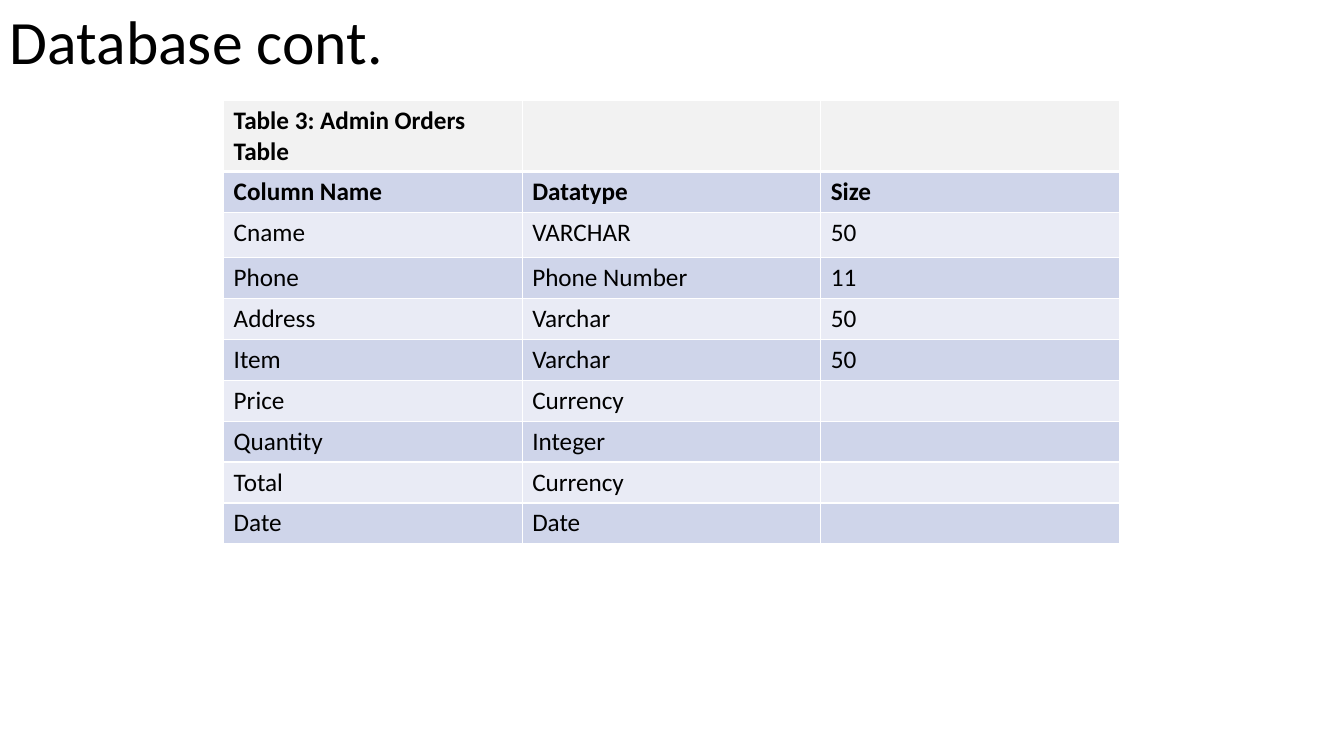
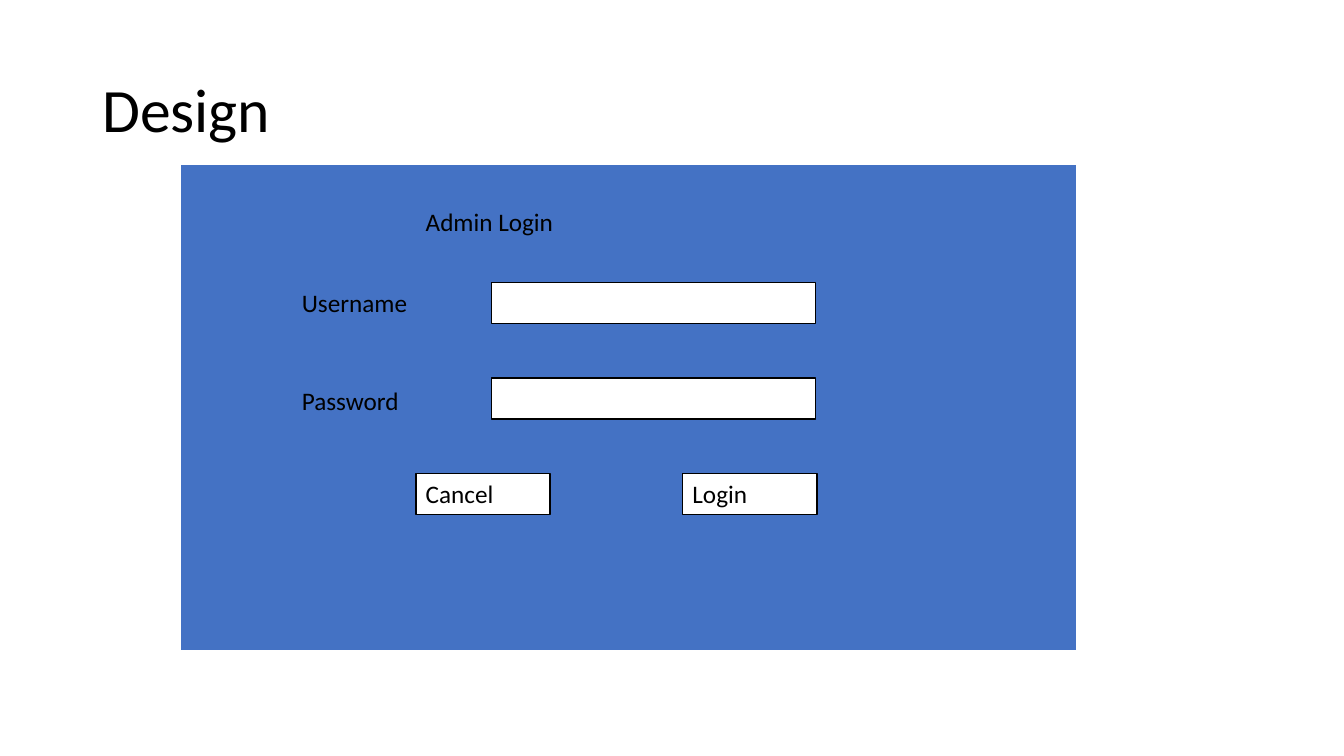
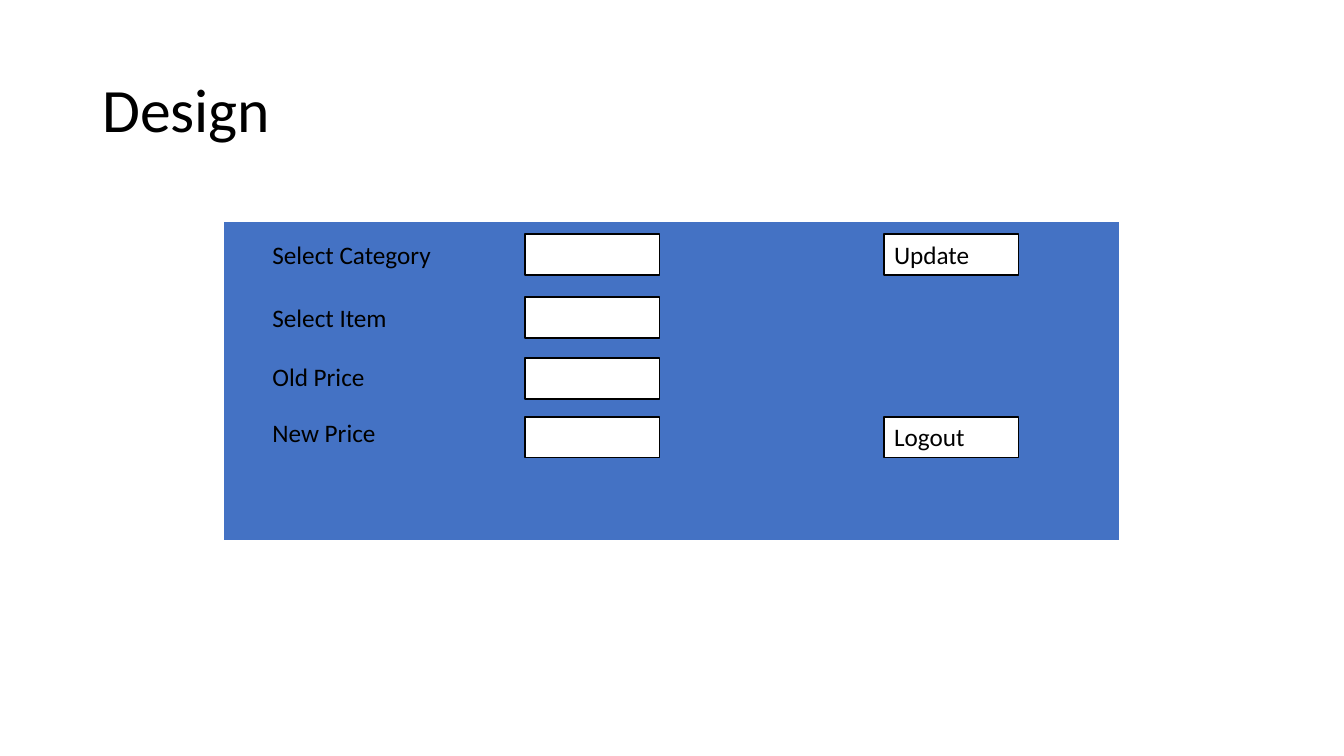
from lxml import etree
from pptx import Presentation
from pptx import util as u
from pptx.dml.color import RGBColor
from pptx.enum import shapes, text
from pptx.oxml.ns import qn

PX = 9525  # EMU in one px, 96 px to the inch
BLACK, WHITE, BLUE = "000000", "FFFFFF", "4472C4"
CAPTION_FILL, DARK_BAND, LIGHT_BAND = "F2F2F2", "CFD5EA", "E9EBF5"
ROW_H = 39
BUTTON_W = 128
PANEL_W = 853


def rgb(value):
    return RGBColor.from_string(value)


def px(*lengths):
    return [u.Emu(length * PX) for length in lengths]


class Deck:
    BODY = {"name": "Calibri", "size": u.Pt(18), "bold": False}
    HEADER = {**BODY, "bold": True}
    TITLE = {**BODY, "size": u.Pt(44)}

    def __init__(self, width, height):
        self.prs = Presentation()
        self.prs.slide_width, self.prs.slide_height = px(width, height)
        self.slide = None

    def new_slide(self, title, x, y, w, h):
        self.slide = self.prs.slides.add_slide(self.prs.slide_layouts[6])
        frame = self.label(title, x, y, w, h, self.TITLE)
        frame.vertical_anchor = text.MSO_ANCHOR.MIDDLE
        frame.paragraphs[0].line_spacing = 0.9

    def put_words(self, frame, words, style):
        frame.word_wrap = True
        paragraph = frame.paragraphs[0]
        paragraph.alignment = text.PP_ALIGN.LEFT
        run = paragraph.add_run()
        run.text = words
        for name, value in style.items():
            setattr(run.font, name, value)
        run.font.color.rgb = rgb(BLACK)

    def label(self, words, x, y, w, h=ROW_H, style=BODY):
        frame = self.slide.shapes.add_textbox(*px(x, y, w, h)).text_frame
        self.put_words(frame, words, style)
        return frame

    def box(self, x, y, w, words=""):
        """Draw an outlined input field, or a button when it has words."""
        shape = self.slide.shapes.add_shape(
            shapes.MSO_SHAPE.RECTANGLE, *px(x, y, w, ROW_H))
        shape.shadow.inherit = False
        shape.fill.solid()
        shape.fill.fore_color.rgb = rgb(WHITE)
        shape.line.color.rgb = rgb(BLACK)
        shape.line.width = u.Pt(1)
        if words:
            shape.text_frame.vertical_anchor = text.MSO_ANCHOR.TOP
            self.put_words(shape.text_frame, words, self.BODY)

    def borders(self, cell, bottom):
        """Give the cell white borders, with its own width at the bottom."""
        props = cell._tc.get_or_add_tcPr()
        for side, points in {"L": 1, "R": 1, "T": 1, "B": bottom}.items():
            line = etree.SubElement(props, qn(f"a:ln{side}"), w=str(u.Pt(points)))
            fill = etree.SubElement(line, qn("a:solidFill"))
            etree.SubElement(fill, qn("a:srgbClr"), val=WHITE)

    def table(self, x, y, w, heights, rows, fills, header_rows=0):
        """Draw a table of equal columns; its first row has a thick lower border."""
        columns = len(rows[0])
        grid = self.slide.shapes.add_table(
            len(rows), columns, *px(x, y, w, sum(heights))).table
        grid.first_row = grid.horz_banding = False
        for r, (row, height, fill) in enumerate(zip(rows, heights, fills)):
            grid.rows[r].height = u.Emu(height * PX)
            for c, words in enumerate(row):
                cell = grid.cell(r, c)
                self.borders(cell, 1 if r else 3)
                cell.fill.solid()
                cell.fill.fore_color.rgb = rgb(fill)
                if words:
                    style = self.HEADER if r < header_rows else self.BODY
                    self.put_words(cell.text_frame, words, style)

    def panel(self, x, y, h):
        self.table(x, y, PANEL_W, [h], [[""]], [BLUE])


ORDERS = [
    ("Table 3: Admin Orders Table", "", ""),
    ("Column Name", "Datatype", "Size"),
    ("Cname", "VARCHAR", "50"),
    ("Phone", "Phone Number", "11"),
    ("Address", "Varchar", "50"),
    ("Item", "Varchar", "50"),
    ("Price", "Currency", ""),
    ("Quantity", "Integer", ""),
    ("Total", "Currency", ""),
    ("Date", "Date", ""),
]
DESIGN_TITLE = ("Design", 88, 38, 1104, 139)


def orders_slide(deck):
    deck.new_slide("Database cont.", 0, 0, 1104, 84)
    heights = [43 if row[0] == "Cname" else ROW_H for row in ORDERS]
    bands = [DARK_BAND if r % 2 else LIGHT_BAND for r in range(1, len(ORDERS))]
    deck.table(213, 96, PANEL_W, heights, ORDERS, [CAPTION_FILL] + bands,
               header_rows=2)


def login_slide(deck):
    deck.new_slide(*DESIGN_TITLE)
    deck.panel(172, 157, 464)
    deck.label("Admin Login", 396, 192, 293)
    for name, label_y, field_y in (("Username", 269, 269), ("Password", 362, 360)):
        deck.label(name, 278, label_y, 224)
        deck.box(468, field_y, 309)
    for action, x in (("Login", 650), ("Cancel", 396)):
        deck.box(x, 451, BUTTON_W, action)


def price_slide(deck):
    deck.new_slide(*DESIGN_TITLE)
    deck.panel(213, 211, 305)
    for name, label_y, field_y in (
            ("Select Category", 223, 223), ("Select Item", 283, 283),
            ("Old Price", 339, 341), ("New Price", 393, 397)):
        deck.label(name, 250, label_y, 214)
        deck.box(500, field_y, BUTTON_W)
    for action, y in (("Update", 223), ("Logout", 397)):
        deck.box(842, y, BUTTON_W, action)


def main():
    deck = Deck(1280, 720)
    for build in (orders_slide, login_slide, price_slide):
        build(deck)
    deck.prs.save("out.pptx")


if __name__ == "__main__":
    main()
